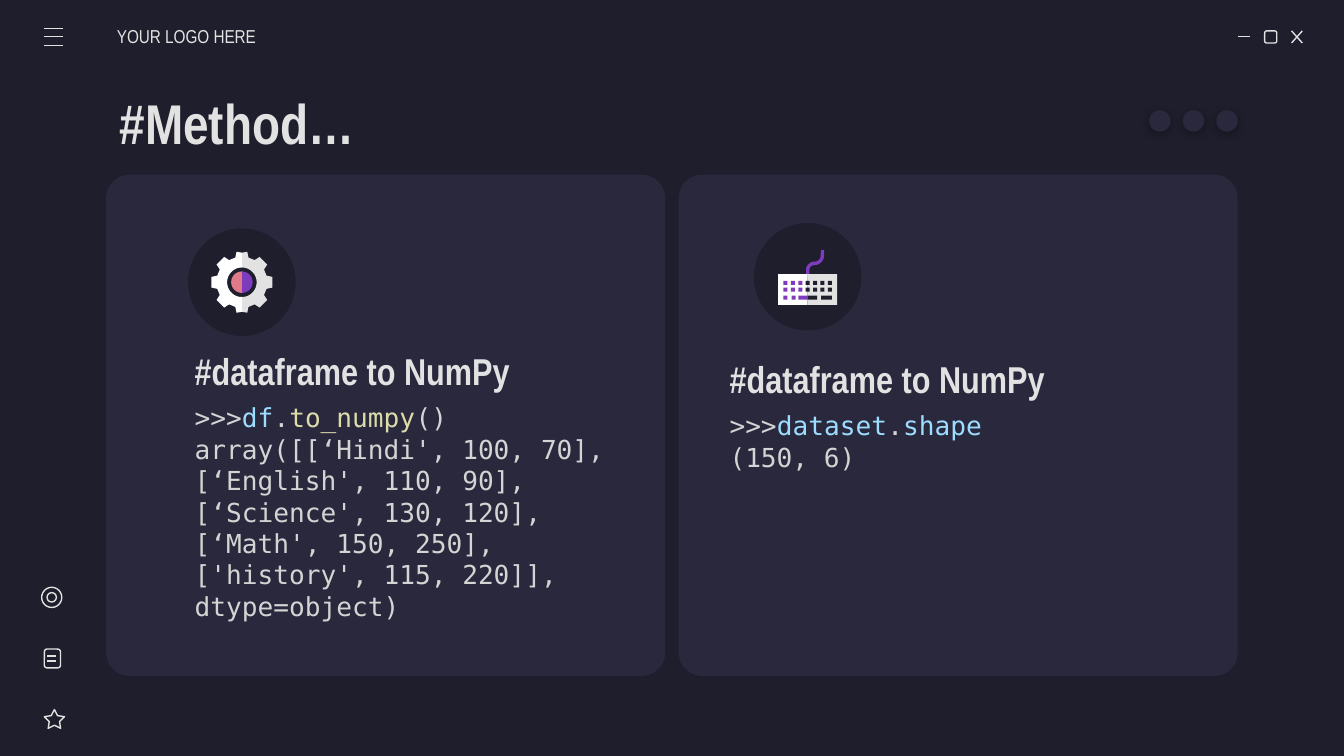
"""Build the dark code-window slide comparing two dataframe methods."""
from dataclasses import dataclass
from math import cos, radians, sin

from lxml.etree import SubElement
from pptx import Presentation
from pptx.dml.color import RGBColor
from pptx.enum.shapes import MSO_CONNECTOR, MSO_SHAPE
from pptx.enum.text import MSO_ANCHOR, MSO_AUTO_SIZE, PP_ALIGN
from pptx.oxml.ns import qn
from pptx.util import Inches, Pt

DARK, PANEL, LIGHT, WHITE = "1E1E2C", "29283D", "E2E2E2", "FFFFFF"
PURPLE, PINK = "7E3BBE", "E07A88"
CODE, VARIABLE, METHOD = "D4D4D4", "9CDCFE", "DCDCAA"
NARROW, MONO = "Arial Narrow", "DejaVu Sans Mono"

Point = tuple[float, float]
Box = tuple[float, float, float, float]
Run = tuple[str, str]

LABEL_FRAME = {
    "word_wrap": True,
    "auto_size": MSO_AUTO_SIZE.NONE,
    "vertical_anchor": MSO_ANCHOR.MIDDLE,
    "margin_left": Inches(0.1),
    "margin_top": Inches(0.1),
    "margin_right": Inches(0.1),
    "margin_bottom": Inches(0.1),
}
LOGO_FRAME = LABEL_FRAME | {"margin_left": 0}
CODE_FRAME = {"word_wrap": True, "auto_size": MSO_AUTO_SIZE.SHAPE_TO_FIT_TEXT}
TITLE_FONT = {"name": NARROW, "size": Pt(30), "bold": True}
HEADING_FONT = {"name": NARROW, "size": Pt(20), "bold": True}
LOGO_FONT = {"name": NARROW, "size": Pt(10), "bold": False}
CODE_FONT = {"name": MONO, "size": Pt(14), "bold": False}


@dataclass
class Card:
    panel_left: float
    text_left: float
    heading_top: float
    code_height: float
    badge: Point
    code: list[list[Run]]


CARDS = [
    Card(0.79, 1.35, 2.5, 1.75, (1.4, 1.7), [
        [(">>>", CODE), ("df", VARIABLE), (".", CODE), ("to_numpy", METHOD), ("()", CODE)],
        [("array([[‘Hindi', 100, 70], [‘English', 110, 90], [‘Science', 130, 120], "
          "[‘Math', 150, 250], ['history', 115, 220]], dtype=object)", CODE)],
    ]),
    Card(5.05, 5.33, 2.56, 0.57, (5.61, 1.66), [
        [(">>>", CODE), ("dataset", VARIABLE), (".", CODE), ("shape", VARIABLE)],
        [("(150, 6)", CODE)],
    ]),
]

STROKES: list[tuple[Point, Point]] = [
    ((9.21, 0.27), (9.3, 0.27)),
    ((9.61, 0.23), (9.69, 0.32)),
    ((9.69, 0.23), (9.61, 0.32)),
    *[((0.33, y), (0.47, y)) for y in (0.21, 0.27, 0.34)],
    *[((0.35, y), (0.42, y)) for y in (4.88, 4.92)],
]
OUTLINES: list[tuple[MSO_SHAPE, Box]] = [
    (MSO_SHAPE.ROUNDED_RECTANGLE, (9.41, 0.23, 0.09, 0.09)),
    (MSO_SHAPE.STAR_5_POINT, (0.33, 5.28, 0.15, 0.14)),
    (MSO_SHAPE.ROUNDED_RECTANGLE, (0.33, 4.83, 0.12, 0.14)),
    (MSO_SHAPE.OVAL, (0.31, 4.37, 0.15, 0.15)),
    (MSO_SHAPE.OVAL, (0.35, 4.41, 0.07, 0.07)),
]


def rgb(value: str) -> RGBColor:
    return RGBColor.from_string(value)


def paint(shape, fill: str = "", line: str = "", width: float = 0.75):
    shape.shadow.inherit = False
    if fill:
        shape.fill.solid()
        shape.fill.fore_color.rgb = rgb(fill)
    else:
        shape.fill.background()
    if line:
        shape.line.color.rgb = rgb(line)
        shape.line.width = Pt(width)
    else:
        shape.line.fill.background()
    return shape


def draw_shape(slide, kind: MSO_SHAPE, box: Box, fill: str = "", line: str = ""):
    return paint(slide.shapes.add_shape(kind, *map(Inches, box)), fill, line)


def draw_stroke(slide, start: Point, end: Point) -> None:
    stroke = slide.shapes.add_connector(MSO_CONNECTOR.STRAIGHT, *map(Inches, start + end))
    stroke.line.color.rgb = rgb(LIGHT)
    stroke.line.width = Pt(0.75)
    SubElement(stroke.element.spPr, qn("a:effectLst"))


def draw_path(slide, points: list[Point], fill: str = "", line: str = "", width: float = 0.75) -> None:
    start, *corners = [(Inches(x), Inches(y)) for x, y in points]
    builder = slide.shapes.build_freeform(*start)
    builder.add_line_segments(corners, close=bool(fill))
    paint(builder.convert_to_shape(), fill, line, width)


def polar(center: Point, radius: float, degrees: float) -> Point:
    angle = radians(degrees)
    return center[0] + radius * cos(angle), center[1] + radius * sin(angle)


def arc(center: Point, radius: float, start: int, end: int) -> list[Point]:
    steps = 18
    return [polar(center, radius, start + (end - start) * i / steps) for i in range(steps + 1)]


def write(frame, paragraphs: list[list[Run]], frame_format: dict, font_format: dict) -> None:
    for name, value in frame_format.items():
        setattr(frame, name, value)
    for index, runs in enumerate(paragraphs):
        paragraph = frame.add_paragraph() if index else frame.paragraphs[0]
        paragraph.alignment = PP_ALIGN.LEFT
        for words, color in runs:
            run = paragraph.add_run()
            run.text = words
            run.font.color.rgb = rgb(color)
            for name, value in font_format.items():
                setattr(run.font, name, value)


def draw_text(slide, box: Box, paragraphs: list[list[Run]], frame_format: dict, font_format: dict) -> None:
    label = slide.shapes.add_textbox(*map(Inches, box))
    write(label.text_frame, paragraphs, frame_format, font_format)


def draw_dot(slide, left: float) -> None:
    dot = draw_shape(slide, MSO_SHAPE.OVAL, (left, 0.82, 0.16, 0.16), PANEL)
    effects = dot.element.spPr.find(qn("a:effectLst"))
    shadow = SubElement(effects, qn("a:outerShdw"), blurRad=str(Pt(4.5)), dist=str(Pt(1.5)),
                        dir="5400000", algn="bl", rotWithShape="0")
    black = SubElement(shadow, qn("a:srgbClr"), val="000000")
    SubElement(black, qn("a:alpha"), val="30000")


def draw_gear(slide, center: Point) -> None:
    rim = [polar(center, radius, 45 * tooth - 90 + offset)
           for tooth in range(5)
           for radius, offset in ((0.19, -15), (0.23, -10), (0.23, 10), (0.19, 15))]
    x, y = center
    outer = [(x, y - 0.22), *[p for p in rim if p[0] > x], (x, y + 0.22)]
    right_ring = outer + arc(center, 0.11, 90, -90)
    right_core = arc(center, 0.08, -90, 90)
    for half, right_fill, left_fill in ((right_core, PURPLE, PINK), (right_ring, LIGHT, WHITE)):
        draw_path(slide, half, right_fill)
        draw_path(slide, [(2 * x - px, py) for px, py in half], left_fill)


def draw_keyboard(slide) -> None:
    cable = [(6.12, 1.86), *arc((6.06, 1.9), 0.06, 0, 90), *arc((6.06, 2.01), 0.05, 270, 180), (6.01, 2.07)]
    draw_path(slide, cable, line=PURPLE, width=1.8)
    keys = [(5.83 + 0.055 * column, top, 0.03, PURPLE if column < 3 else DARK)
            for top in (2.09, 2.14) for column in range(7)]
    keys += [(left, 2.2, width, fill) for left, width, fill in (
        (5.83, 0.03, PURPLE), (5.89, 0.03, PURPLE), (5.94, 0.07, PURPLE),
        (6.01, 0.07, DARK), (6.11, 0.08, DARK))]
    for left, fill in ((5.79, WHITE), (6.01, LIGHT)):
        draw_shape(slide, MSO_SHAPE.RECTANGLE, (left, 2.04, 0.22, 0.23), fill)
    for left, top, width, fill in keys:
        draw_shape(slide, MSO_SHAPE.RECTANGLE, (left, top, width, 0.03), fill)


def draw_card(slide, card: Card) -> None:
    panel = draw_shape(slide, MSO_SHAPE.ROUNDED_RECTANGLE, (card.panel_left, 1.3, 4.16, 3.73), PANEL)
    panel.adjustments[0] = 0.047
    draw_shape(slide, MSO_SHAPE.OVAL, (*card.badge, 0.8, 0.8), DARK)
    draw_text(slide, (card.text_left, card.heading_top, 3.22, 0.51),
              [[("#dataframe to NumPy", LIGHT)]], LABEL_FRAME, HEADING_FONT)
    draw_text(slide, (card.text_left, card.heading_top + 0.44, 3.33, card.code_height),
              card.code, CODE_FRAME, CODE_FONT)


def main() -> None:
    deck = Presentation()
    deck.slide_width, deck.slide_height = Inches(10), Inches(10) * 9 // 16
    slide = deck.slides.add_slide(deck.slide_layouts[5])
    slide.background.fill.solid()
    slide.background.fill.fore_color.rgb = rgb(DARK)

    title = slide.shapes.title
    for side, length in zip(("left", "top", "width", "height"), (0.79, 0.59, 8.43, 0.63)):
        setattr(title, side, Inches(length))
    write(title.text_frame, [[("#Method…", LIGHT)]], LABEL_FRAME, TITLE_FONT)

    for card in CARDS:
        draw_card(slide, card)
    for start, end in STROKES:
        draw_stroke(slide, start, end)
    for kind, box in OUTLINES:
        outline = draw_shape(slide, kind, box, line=LIGHT)
        if kind == MSO_SHAPE.STAR_5_POINT:
            outline.adjustments[0] = 0.254
    for position in range(3):
        draw_dot(slide, 9.05 - 0.25 * position)
    draw_text(slide, (0.87, 0.12, 1.17, 0.3), [[("YOUR LOGO HERE", LIGHT)]], LOGO_FRAME, LOGO_FONT)
    draw_gear(slide, (1.8, 2.1))
    draw_keyboard(slide)
    deck.save("out.pptx")


if __name__ == "__main__":
    main()
